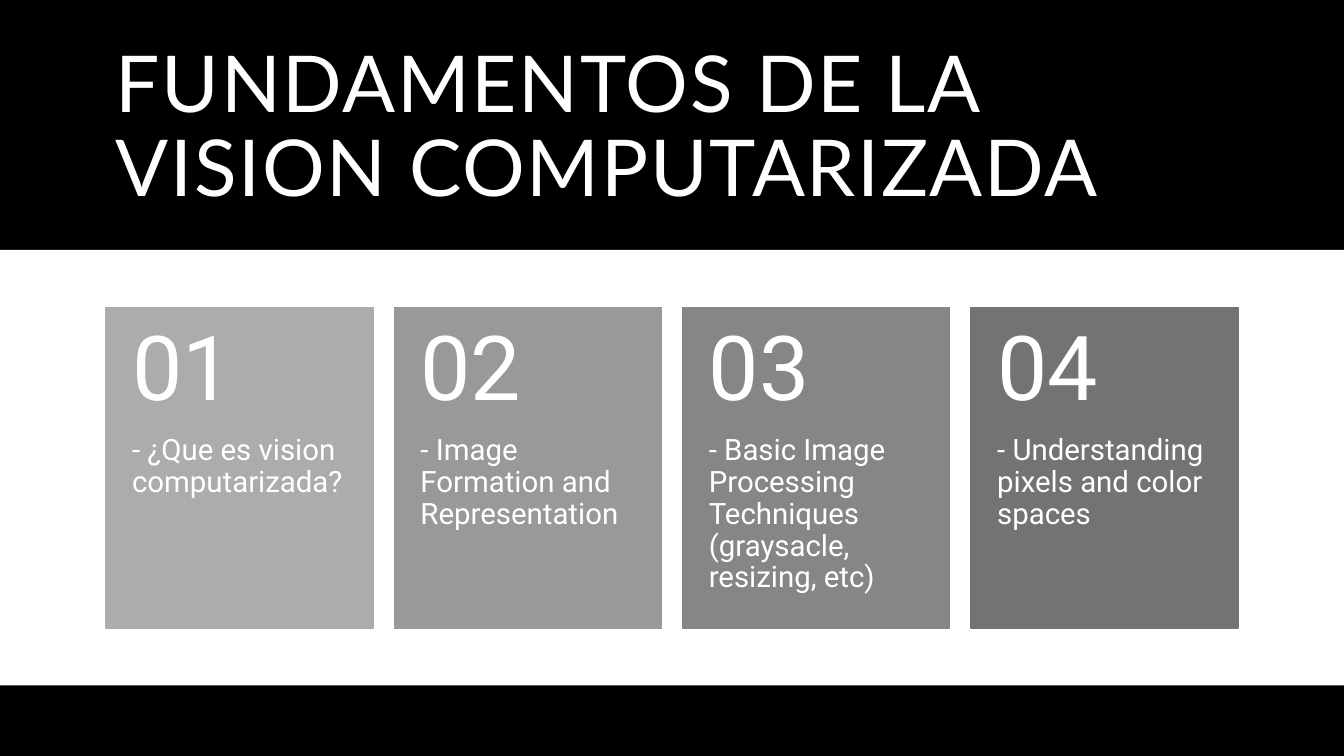
from pptx import Presentation
from pptx import util as u
from pptx.dml.color import RGBColor
from pptx.enum import shapes, text

Inches = u.Inches

COLORS = {
    "black": "000000",
    "white": "FFFFFF",
    "card_1": "ACACAC",
    "card_2": "999999",
    "card_3": "868686",
    "card_4": "737373",
}
TITLE = "FUNDAMENTOS DE LA VISION COMPUTARIZADA"
TOPICS = [
    "- ¿Que es vision computarizada?",
    "- Image Formation and Representation",
    "- Basic Image Processing Techniques (graysacle, resizing, etc)",
    "- Understanding pixels and color spaces",
]

SLIDE_WIDTH, SLIDE_HEIGHT = 13.33, 7.5
CARD_LEFT, CARD_TOP, CARD_STEP = 1.05, 3.05, 2.86
CARD_WIDTH, CARD_HEIGHT, NUMBER_HEIGHT = 2.65, 3.18, 1.27


def color(name):
    return RGBColor.from_string(COLORS[name])


def add_rectangle(container, box, fill, outlined=False):
    shape = container.add_shape(shapes.MSO_SHAPE.RECTANGLE, *map(Inches, box))
    shape.shadow.inherit = False
    shape.fill.solid()
    shape.fill.fore_color.rgb = color(fill)
    if outlined:
        shape.line.color.rgb = color(fill)
        shape.line.width = u.Pt(1)
    else:
        shape.line.fill.background()
    return shape


def write(frame, content, font, size, anchor):
    """Fill a text frame with one white, left-aligned paragraph."""
    frame.word_wrap = True
    frame.auto_size = text.MSO_AUTO_SIZE.NONE
    frame.vertical_anchor = anchor
    paragraph = frame.paragraphs[0]
    paragraph.alignment = text.PP_ALIGN.LEFT
    paragraph.line_spacing = 0.9
    run = paragraph.add_run()
    run.text = content
    run.font.name = font
    run.font.size = u.Pt(size)
    run.font.color.rgb = color("white")
    return run


def add_card_text(container, box, content, size, anchor, top_inset, bottom_inset):
    frame = container.add_textbox(*map(Inches, box)).text_frame
    frame.margin_left = frame.margin_right = Inches(0.26)
    frame.margin_top = Inches(top_inset)
    frame.margin_bottom = Inches(bottom_inset)
    write(frame, content, "Roboto", size, anchor)


def add_card(container, index, topic):
    left = CARD_LEFT + index * CARD_STEP
    add_rectangle(container, (left, CARD_TOP, CARD_WIDTH, CARD_HEIGHT),
                  f"card_{index + 1}", outlined=True)
    add_card_text(container,
                  (left, CARD_TOP + NUMBER_HEIGHT, CARD_WIDTH, CARD_HEIGHT - NUMBER_HEIGHT),
                  topic, 21, text.MSO_ANCHOR.TOP, 0, 0.36)
    add_card_text(container, (left, CARD_TOP, CARD_WIDTH, NUMBER_HEIGHT),
                  f"{index + 1:02}", 64, text.MSO_ANCHOR.MIDDLE, 0.18, 0.18)


def format_title(title):
    title.left, title.top = Inches(1.05), Inches(0.35)
    title.width, title.height = Inches(11.23), Inches(1.86)
    run = write(title.text_frame, TITLE, "Lato", 56, text.MSO_ANCHOR.MIDDLE)
    run.font._element.set("spc", "120")  # letter spacing, hundredths of a point


def main():
    presentation = Presentation()
    presentation.slide_width = Inches(SLIDE_WIDTH)
    presentation.slide_height = Inches(SLIDE_HEIGHT)
    slide = presentation.slides.add_slide(presentation.slide_layouts[5])
    slide.background.fill.solid()
    slide.background.fill.fore_color.rgb = color("white")

    # Black backdrop, placed behind the title
    title = slide.shapes.title
    backdrop = add_rectangle(slide.shapes, (0, 0, SLIDE_WIDTH, SLIDE_HEIGHT), "black")
    title.element.addprevious(backdrop.element)
    format_title(title)

    # White band with the row of numbered cards
    add_rectangle(slide.shapes, (0, 2.48, SLIDE_WIDTH, 4.32), "white")
    cards = slide.shapes.add_group_shape()
    for index, topic in enumerate(TOPICS):
        add_card(cards.shapes, index, topic)

    presentation.save("out.pptx")


if __name__ == "__main__":
    main()
